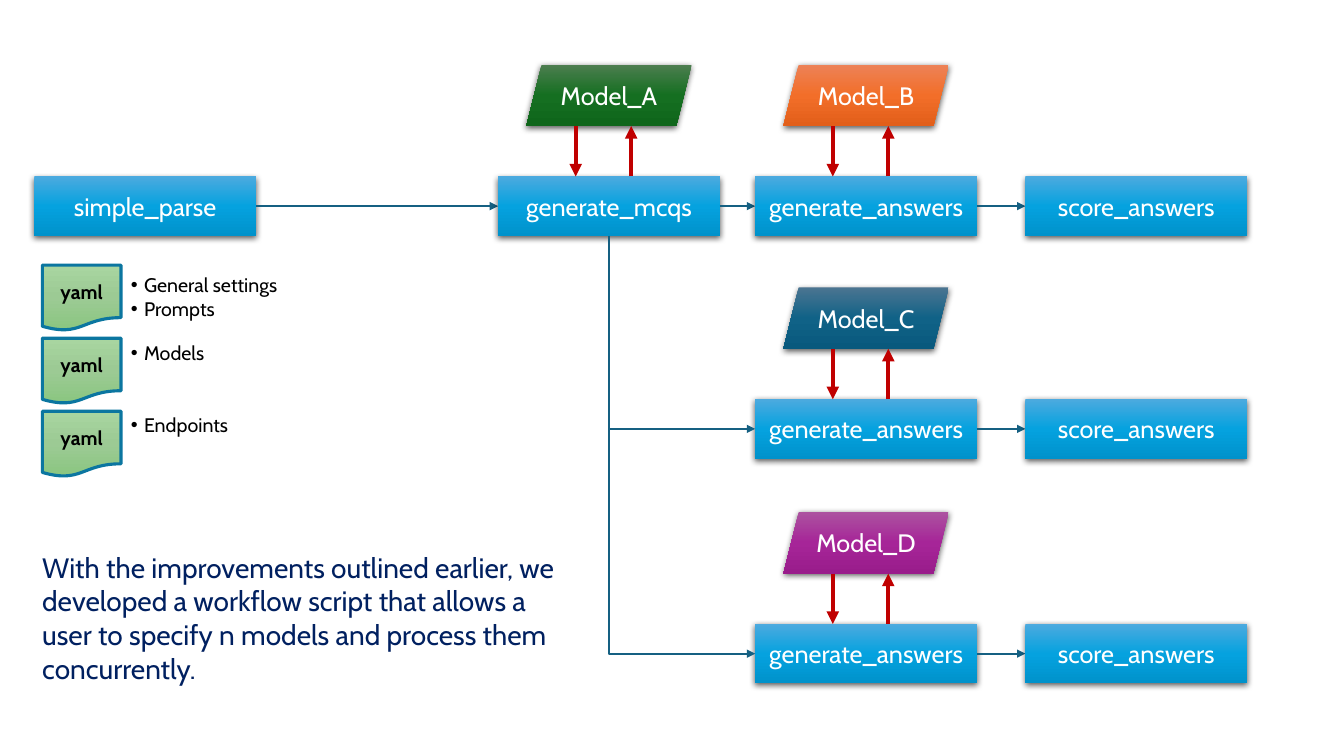
from copy import deepcopy
from dataclasses import dataclass

from lxml.etree import SubElement
from pptx import Presentation
from pptx.dml.color import RGBColor
from pptx.enum.shapes import MSO_CONNECTOR, MSO_SHAPE
from pptx.enum.text import MSO_ANCHOR, MSO_AUTO_SIZE, PP_ALIGN
from pptx.oxml.ns import qn
from pptx.util import Inches, Pt


@dataclass(frozen=True)
class Theme:
    font: str = "Cabin"
    label: int = 18
    small: int = 14
    note: int = 20
    white: str = "FFFFFF"
    black: str = "000000"
    navy: str = "002060"
    flow: str = "156082"
    call: str = "C00000"
    file_line: str = "0B76A0"
    process: tuple = ("4CAADF", "05A2DF", "0092CB")
    file: tuple = ("A8D5A0", "9CCA94", "8AC680")
    model_a: tuple = ("4D7E50", "156F21", "0F661B")
    model_b: tuple = ("ED8257", "F26E29", "E25F1A")
    model_c: tuple = ("4C7591", "106287", "09597D")
    model_d: tuple = ("AC53A0", "A62598", "991C8B")


T = Theme()
BOX_W, BOX_H = 2.2, 0.59
MODEL_W, MODEL_H = 1.64, 0.61
PROCESS_DY = 1.11
PARSE_X, MCQ_X, ANSWER_X, SCORE_X = 0.34, 4.94, 7.49, 10.17
LANES = (
    (0.64, "Model_B", T.model_b),
    (2.85, "Model_C", T.model_c),
    (5.08, "Model_D", T.model_d),
)
FILES = (
    (("General settings", "Prompts"), 0.03, 1.71, 0.57),
    (("Models",), -0.02, 0.95, 0.34),
    (("Endpoints",), -0.03, 1.19, 0.34),
)


def rgb(color):
    return RGBColor.from_string(color)


def style_text(tf, size, color, bold=False):
    for p in tf.paragraphs:
        for r in p.runs:
            r.font.name = T.font
            r.font.size = Pt(size)
            r.font.bold = bold
            r.font.color.rgb = rgb(color)


def add_gradient(s, colors):
    s.fill.gradient()
    s.fill.gradient_angle = 270
    first = next(s._element.spPr.iter(qn("a:gs")))
    middle = deepcopy(first)
    middle.set("pos", "50000")
    first.addnext(middle)
    for stop, color in zip(s.fill.gradient_stops, colors):
        stop.color.rgb = rgb(color)


def add_shadow(s):
    effects = s._element.spPr.find(qn("a:effectLst"))
    shadow = SubElement(effects, qn("a:outerShdw"), blurRad="57150", dist="19050",
                        dir="5400000", algn="ctr", rotWithShape="0")
    color = SubElement(shadow, qn("a:srgbClr"), val=T.black)
    SubElement(color, qn("a:alpha"), val="63000")


def add_node(shapes, kind, x, y, w, h, text, colors, size=T.label, color=T.white, bold=False):
    s = shapes.add_shape(kind, Inches(x), Inches(y), Inches(w), Inches(h))
    s.shadow.inherit = False
    add_gradient(s, colors)
    s.line.fill.background()
    tf = s.text_frame
    tf.margin_left = tf.margin_right = 0
    tf.text = text
    tf.vertical_anchor = MSO_ANCHOR.MIDDLE
    tf.paragraphs[0].alignment = PP_ALIGN.CENTER
    style_text(tf, size, color, bold)
    return s


def add_arrow(shapes, x1, y1, x2, y2, color=T.flow, width=1.5, kind=MSO_CONNECTOR.STRAIGHT):
    c = shapes.add_connector(kind, Inches(x1), Inches(y1), Inches(x2), Inches(y2))
    c.line.color.rgb = rgb(color)
    c.line.width = Pt(width)
    SubElement(c.line._get_or_add_ln(), qn("a:tailEnd"), type="triangle")
    SubElement(c._element.spPr, qn("a:effectLst"))
    return c


def add_branch(shapes, x1, y1, x2, y2):
    cx, cy = (x1 + x2) / 2, (y1 + y2) / 2
    dx, dy = (x2 - x1) / 2, (y2 - y1) / 2
    c = add_arrow(shapes, cx + dy, cy - dx, cx - dy, cy + dx, kind=MSO_CONNECTOR.ELBOW)
    sp = c._element.spPr
    sp.find(qn("a:xfrm")).set("rot", "16200000")
    sp.find(qn("a:prstGeom")).set("prst", "bentConnector2")


def add_process(shapes, x, y, text):
    s = add_node(shapes, MSO_SHAPE.FLOWCHART_PROCESS, x, y, BOX_W, BOX_H, text, T.process)
    add_shadow(s)


def add_model_step(shapes, x, y, model, colors, step):
    s = add_node(shapes, MSO_SHAPE.PARALLELOGRAM, x + 0.28, y, MODEL_W, MODEL_H, model, colors)
    add_shadow(s)
    process_y = y + PROCESS_DY
    add_process(shapes, x, process_y, step)
    add_arrow(shapes, x + 0.77, y + MODEL_H, x + 0.77, process_y, T.call, 3)
    add_arrow(shapes, x + 1.32, process_y, x + 1.32, y + MODEL_H, T.call, 3)


def add_pipeline(shapes):
    top = LANES[0][0]
    process_y = top + PROCESS_DY
    mid = process_y + BOX_H / 2
    add_process(shapes, PARSE_X, process_y, "simple_parse")
    add_arrow(shapes, PARSE_X + BOX_W, mid, MCQ_X, mid)
    add_model_step(shapes, MCQ_X, top, "Model_A", T.model_a, "generate_mcqs")
    add_arrow(shapes, MCQ_X + BOX_W, mid, ANSWER_X, mid)
    for y, model, colors in LANES:
        lane_y = y + PROCESS_DY
        lane_mid = lane_y + BOX_H / 2
        add_model_step(shapes, ANSWER_X, y, model, colors, "generate_answers")
        add_arrow(shapes, ANSWER_X + BOX_W, lane_mid, SCORE_X, lane_mid)
        add_process(shapes, SCORE_X, lane_y, "score_answers")
        if y > top:
            add_branch(shapes, MCQ_X + BOX_W / 2, process_y + BOX_H, ANSWER_X, lane_mid)


def add_bullets(shapes, x, y, w, h, items):
    s = shapes.add_textbox(Inches(x), Inches(y), Inches(w), Inches(h))
    tf = s.text_frame
    tf.text = "\n".join(items)
    tf.word_wrap = False
    tf.auto_size = MSO_AUTO_SIZE.SHAPE_TO_FIT_TEXT
    style_text(tf, T.small, T.black)
    for p in tf.paragraphs:
        pPr = p._p.get_or_add_pPr()
        pPr.set("marL", str(Inches(0.13)))
        pPr.set("indent", str(Inches(-0.13)))
        SubElement(pPr, qn("a:buFont"), typeface="Arial")
        SubElement(pPr, qn("a:buChar"), char="•")


def add_config_files(shapes, x, y, pitch):
    for i, (items, dy, w, h) in enumerate(FILES):
        group = shapes.add_group_shape().shapes
        file_y = y + i * pitch
        s = add_node(group, MSO_SHAPE.FLOWCHART_DOCUMENT, x, file_y, 0.78, 0.65,
                     "yaml", T.file, T.small, T.black, True)
        s.line.color.rgb = rgb(T.file_line)
        s.line.width = Pt(2.25)
        add_bullets(group, x + 0.78, file_y + dy, w, h, items)


def add_note(shapes, x, y, w, h):
    s = shapes.add_textbox(Inches(x), Inches(y), Inches(w), Inches(h))
    s.fill.solid()
    s.fill.fore_color.rgb = rgb(T.white)
    tf = s.text_frame
    tf.word_wrap = True
    tf.auto_size = MSO_AUTO_SIZE.SHAPE_TO_FIT_TEXT
    tf.text = ("With the improvements outlined earlier, we developed a workflow script "
               "that allows a user to specify n models and process them concurrently.")
    style_text(tf, T.note, T.navy)


def main():
    prs = Presentation()
    prs.slide_width, prs.slide_height = Inches(13.33), Inches(7.5)
    shapes = prs.slides.add_slide(prs.slide_layouts[6]).shapes
    add_pipeline(shapes)
    add_config_files(shapes, 0.42, 2.63, 0.725)
    add_note(shapes, 0.32, 5.41, 5.52, 1.45)
    prs.save("out.pptx")


if __name__ == "__main__":
    main()
